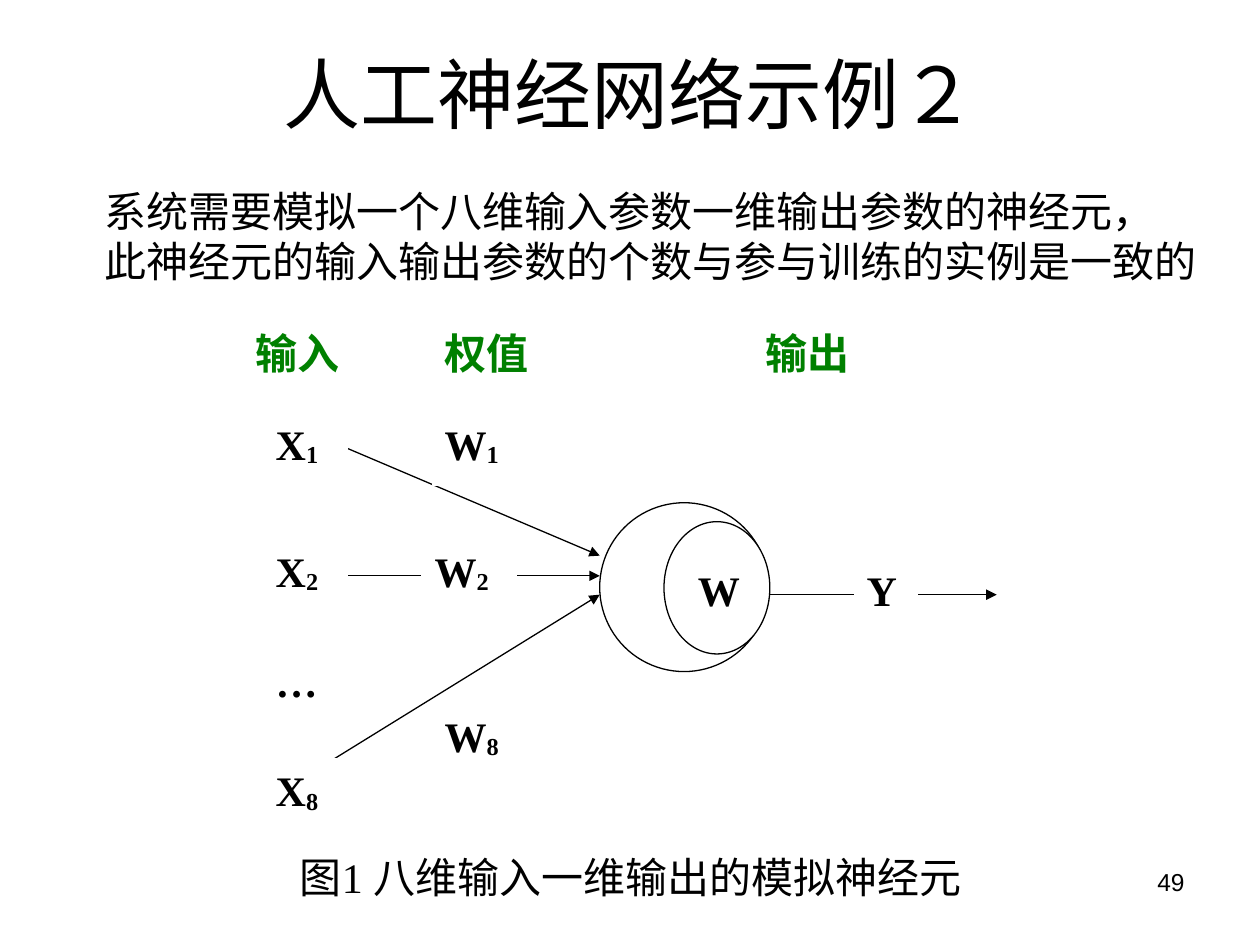
from pptx import Presentation
from pptx.dml.color import RGBColor
from pptx.enum.shapes import MSO_CONNECTOR as Connector, MSO_SHAPE as Shape
from pptx.enum.text import MSO_ANCHOR as Anchor, PP_ALIGN as Align
from pptx.oxml.ns import qn
from pptx.util import Inches, Pt
from lxml.etree import SubElement

BLACK, WHITE, GREEN = "000000", "FFFFFF", "008000"
SERIF, SANS, CJK = "Times New Roman", "Arial", "Noto Sans CJK SC"
LABEL_HEIGHT = 0.58


def color(value):
    return RGBColor.from_string(value)


def lengths(*values):
    return [Inches(value) for value in values]


def write(para, text, size=24, font=SERIF, ink=BLACK, bold=False, baseline=None):
    """Append one formatted span to a paragraph."""
    span = para.add_run()
    span.text = text
    span.font.size = Pt(size)
    span.font.name = font
    span.font.bold = bold
    span.font.color.rgb = color(ink)
    props = span._r.get_or_add_rPr()
    SubElement(props, qn("a:ea")).set("typeface", CJK)
    if baseline is not None:
        props.set("baseline", str(baseline * 1000))


def add_title(page, text):
    title = page.shapes.title
    title.left, title.top, title.width, title.height = lengths(0.5, -0.1, 9, 1.25)
    title.text_frame.vertical_anchor = Anchor.BOTTOM
    para = title.text_frame.paragraphs[0]
    para.alignment = Align.CENTER
    write(para, text, size=44, font=SANS)


def add_text(page, place, lines, align=Align.LEFT, anchor=Anchor.MIDDLE,
             wrap=False, **style):
    frame = page.shapes.add_textbox(*lengths(*place)).text_frame
    frame.word_wrap = wrap
    frame.vertical_anchor = anchor
    for index, line in enumerate(lines):
        para = frame.add_paragraph() if index else frame.paragraphs[0]
        para.alignment = align
        write(para, line, **style)


def add_plain_shape(page, kind, place, line=BLACK, weight=0.75):
    """Add a white shape without a shadow."""
    shape = page.shapes.add_shape(kind, *lengths(*place))
    shape.shadow.inherit = False
    shape.fill.solid()
    shape.fill.fore_color.rgb = color(WHITE)
    shape.line.color.rgb = color(line)
    shape.line.width = Pt(weight)
    return shape


def add_label(page, left, top, width, text, subscript="", ink=BLACK, weight=0.75):
    """Add a white box that covers the lines behind its text."""
    box = add_plain_shape(page, Shape.RECTANGLE, (left, top, width, LABEL_HEIGHT),
                          WHITE, weight)
    box.text_frame.vertical_anchor = Anchor.TOP
    para = box.text_frame.paragraphs[0]
    para.alignment = Align.JUSTIFY
    write(para, text, ink=ink, bold=True)
    if subscript:
        write(para, subscript, ink=ink, bold=True, baseline=-8)


def add_arrow(page, start, end):
    arrow = page.shapes.add_connector(Connector.STRAIGHT, *lengths(*start, *end))
    arrow.line.color.rgb = color(BLACK)
    arrow.line.width = Pt(0.75)
    SubElement(arrow.line._get_or_add_ln(), qn("a:tailEnd")).set("type", "triangle")
    SubElement(arrow._element.spPr, qn("a:effectLst"))


def add_neuron_diagram(page):
    # Neuron body and signal arrows
    add_plain_shape(page, Shape.OVAL, (4.76, 3.99, 1.34, 1.34))
    for start, end in [((2.43, 6.16), (4.76, 4.72)),
                       ((2.26, 4.57), (4.76, 4.57)),
                       ((6.08, 4.72), (7.91, 4.72)),
                       ((2.43, 3.42), (4.76, 4.41))]:
        add_arrow(page, start, end)

    # Inputs
    for top, text, subscript in [(3.27, "X", "1"), (4.28, "X", "2"),
                                 (6.02, "X", "8"), (5.15, "…", "")]:
        add_label(page, 2.09, top, 0.67, text, subscript)

    # Weights
    for left, top, width, subscript in [(3.43, 3.27, 0.78, "1"),
                                        (3.35, 4.28, 0.75, "2"),
                                        (3.43, 5.59, 0.86, "8")]:
        add_label(page, left, top, width, "W", subscript)

    # Neuron core and output
    add_plain_shape(page, Shape.OVAL, (5.27, 4.14, 0.84, 1.05))
    for left, text in [(5.44, "W"), (6.78, "Y")]:
        add_label(page, left, 4.43, 0.5, text)

    # Column headings
    for left, width, text in [(1.93, 1.1, "输入"), (3.43, 1.18, "权值"),
                              (5.98, 1.15, "输出")]:
        add_label(page, left, 2.55, width, text, ink=GREEN, weight=0.25)


def main():
    deck = Presentation()
    deck.slide_width, deck.slide_height = lengths(10, 7.5)
    page = deck.slides.add_slide(deck.slide_layouts[5])

    add_title(page, "人工神经网络示例２")
    add_text(page, (0.73, 1.42, 9.01, 0.9),
             ["系统需要模拟一个八维输入参数一维输出参数的神经元，",
              "此神经元的输入输出参数的个数与参与训练的实例是一致的"], font=CJK)
    add_neuron_diagram(page)

    # Caption and page number
    add_text(page, (2.2, 6.71, 5.61, 0.5), ["图1 八维输入一维输出的模拟神经元"],
             align=Align.CENTER)
    add_text(page, (7.17, 6.83, 2.33, 0.52), ["49"], align=Align.RIGHT,
             anchor=Anchor.TOP, wrap=True, size=14, font=SANS)
    deck.save("out.pptx")


if __name__ == "__main__":
    main()
